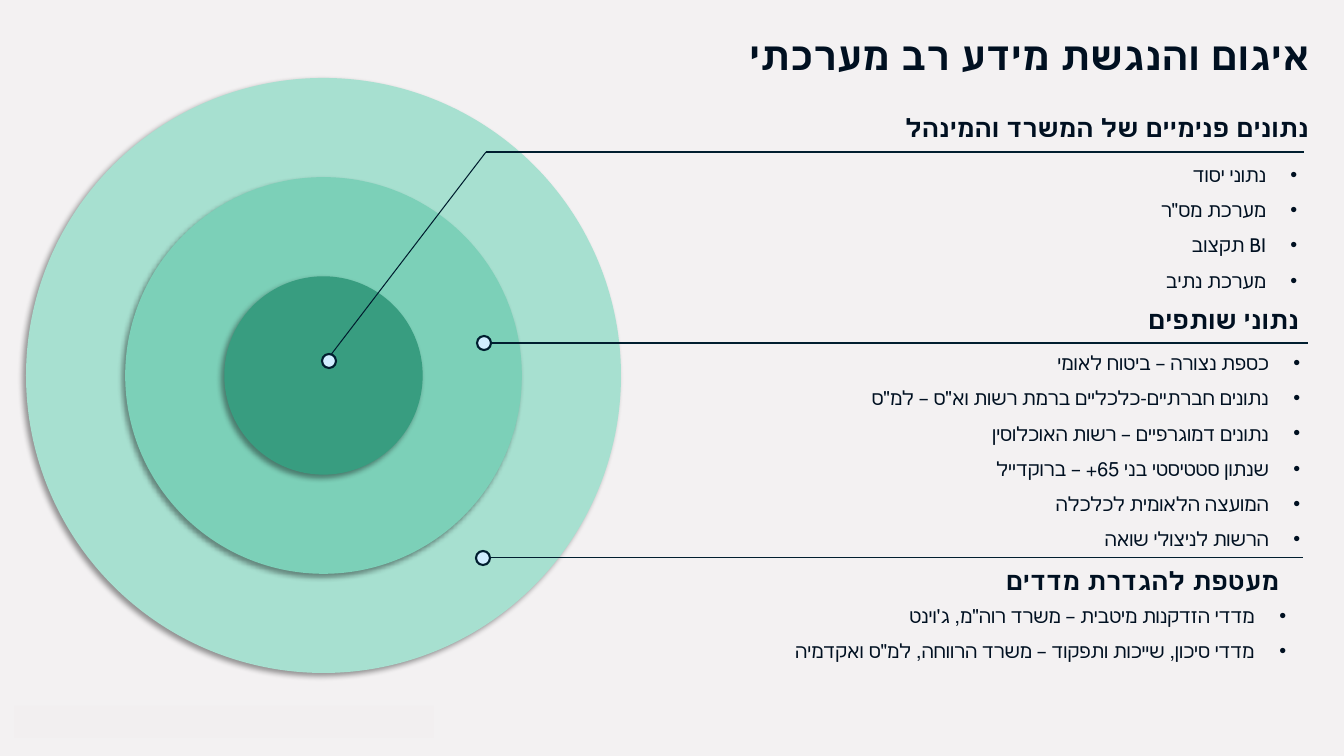
from lxml.etree import SubElement
from pptx import Presentation
from pptx.dml.color import RGBColor
from pptx.enum.shapes import MSO_CONNECTOR, MSO_SHAPE
from pptx.enum.text import MSO_ANCHOR, MSO_AUTO_SIZE, PP_ALIGN
from pptx.oxml.ns import qn
from pptx.util import Emu, Pt

SCALE = 914400 / 100.8  # EMU in one px
FONT = "Cabin"
BACKGROUND = RGBColor(0xF3, 0xF1, 0xF2)
INK = RGBColor(0x00, 0x10, 0x21)
LINE = RGBColor(0x00, 0x1E, 0x2F)
MARKER = RGBColor(0xD1, 0xEE, 0xFF)
FOOTER = RGBColor(0xF2, 0xEF, 0xF0)
OUTER = RGBColor(0xA7, 0xE0, 0xD0)
MIDDLE = RGBColor(0x7C, 0xD0, 0xB8)
CORE = RGBColor(0x38, 0x9D, 0x80)

# Heading, heading box, bullets, bullet box; boxes are left, top, width, height
SECTIONS = [
    ("נתונים פנימיים של המשרד והמינהל", (744, 107, 575, 40),
     ["נתוני יסוד", "מערכת מס\"ר", "BI תקצוב", "מערכת נתיב"],
     (774, 147, 533, 149)),
    ("נתוני שותפים", (734, 299, 575, 40),
     ["כספת נצורה – ביטוח לאומי",
      "נתונים חברתיים-כלכליים ברמת רשות וא\"ס – למ\"ס",
      "נתונים דמוגרפיים – רשות האוכלוסין",
      "שנתון סטטיסטי בני 65+ – ברוקדייל",
      "המועצה הלאומית לכלכלה",
      "הרשות לניצולי שואה"],
     (777, 335, 533, 220)),
    ("מעטפת להגדרת מדדים", (714, 560, 575, 40),
     ["מדדי הזדקנות מיטבית – משרד רוה\"מ, ג'וינט",
      "מדדי סיכון, שייכות ותפקוד – משרד הרווחה, למ\"ס ואקדמיה"],
     (763, 588, 533, 78)),
]

# Marker centre, then the points its leader line runs through
CALLOUTS = [
    ((329, 361), [(330, 356), (486, 152), (1304, 152)]),
    ((484, 343), [(490, 343), (1308, 343)]),
    ((483, 558), [(484, 558), (1303, 558)]),
]


def px(length):
    return Emu(round(length * SCALE))


def add_text(page, box, lines, size, bold=False, bullet=False,
             spacing=None, anchor=MSO_ANCHOR.TOP, grow=True):
    """Place right-to-left paragraphs in a text box."""
    frame = page.shapes.add_textbox(*map(px, box)).text_frame
    frame.word_wrap = True
    frame.vertical_anchor = anchor
    if grow:
        frame.auto_size = MSO_AUTO_SIZE.SHAPE_TO_FIT_TEXT
    for index, line in enumerate(lines):
        para = frame.add_paragraph() if index else frame.paragraphs[0]
        para.alignment = PP_ALIGN.RIGHT
        if spacing:
            para.line_spacing = spacing
        properties = para._p.get_or_add_pPr()
        properties.set("rtl", "1")
        if bullet:
            properties.set("marL", str(px(31)))
            properties.set("indent", str(px(-31)))
            SubElement(properties, qn("a:buFont"), typeface="Arial")
            SubElement(properties, qn("a:buChar"), char="•")
        span = para.add_run()
        span.text = line
        span.font.size = Pt(size)
        span.font.bold = bold
        span.font.color.rgb = INK
        span.font.name = FONT


def add_filled(page, kind, box, color):
    shape = page.shapes.add_shape(kind, *map(px, box))
    shape.shadow.inherit = False
    shape.fill.solid()
    shape.fill.fore_color.rgb = color
    shape.line.fill.background()
    return shape


def add_circle(page, center, size, color):
    x, y = center
    box = (x - size / 2, y - size / 2, size, size)
    return add_filled(page, MSO_SHAPE.OVAL, box, color)


def add_rings(page, box):
    """Three concentric discs, each a third of the box narrower."""
    left, top, size = box
    center = (left + size / 2, top + size / 2)
    for thirds, color in ((3, OUTER), (2, MIDDLE), (1, CORE)):
        disc = add_circle(page, center, size * thirds / 3, color)
        effects = disc._element.spPr.find(qn("a:effectLst"))
        shadow = SubElement(effects, qn("a:outerShdw"), blurRad=str(Pt(4)),
                            dist=str(Pt(3)), dir=str(135 * 60000),
                            algn="tr", rotWithShape="0")
        black = SubElement(shadow, qn("a:srgbClr"), val="000000")
        SubElement(black, qn("a:alpha"), val="40000")


def add_section(page, heading, heading_box, items, items_box):
    add_text(page, heading_box, [heading], 18, bold=True)
    add_text(page, items_box, items, 14, bullet=True, spacing=1.5,
             anchor=MSO_ANCHOR.MIDDLE)


def add_callout(page, center, points):
    """Leader line with a round marker at its ring."""
    for start, end in zip(points, points[1:]):
        leader = page.shapes.add_connector(
            MSO_CONNECTOR.STRAIGHT, *map(px, start + end))
        leader.line.color.rgb = LINE
        leader.line.width = Pt(0.75)
        SubElement(leader._element.spPr, qn("a:effectLst"))
    marker = add_circle(page, center, 14, MARKER)
    marker.line.color.rgb = LINE
    marker.line.width = Pt(1.5)


def main():
    deck = Presentation()
    deck.slide_width, deck.slide_height = px(1344), px(756)
    page = deck.slides.add_slide(deck.slide_layouts[6])
    page.background.fill.solid()
    page.background.fill.fore_color.rgb = BACKGROUND

    # Title
    add_text(page, (87, 35, 1233, 77), ["איגום והנגשת מידע רב מערכתי"], 28,
             bold=True, spacing=0.8, grow=False)
    # Rings, the text beside them and the leader lines
    add_rings(page, (26, 78, 595))
    for section in SECTIONS:
        add_section(page, *section)
    for center, points in CALLOUTS:
        add_callout(page, center, points)
    # Footer band
    add_filled(page, MSO_SHAPE.RECTANGLE, (14, 706, 420, 32), FOOTER)

    deck.save("out.pptx")


if __name__ == "__main__":
    main()
